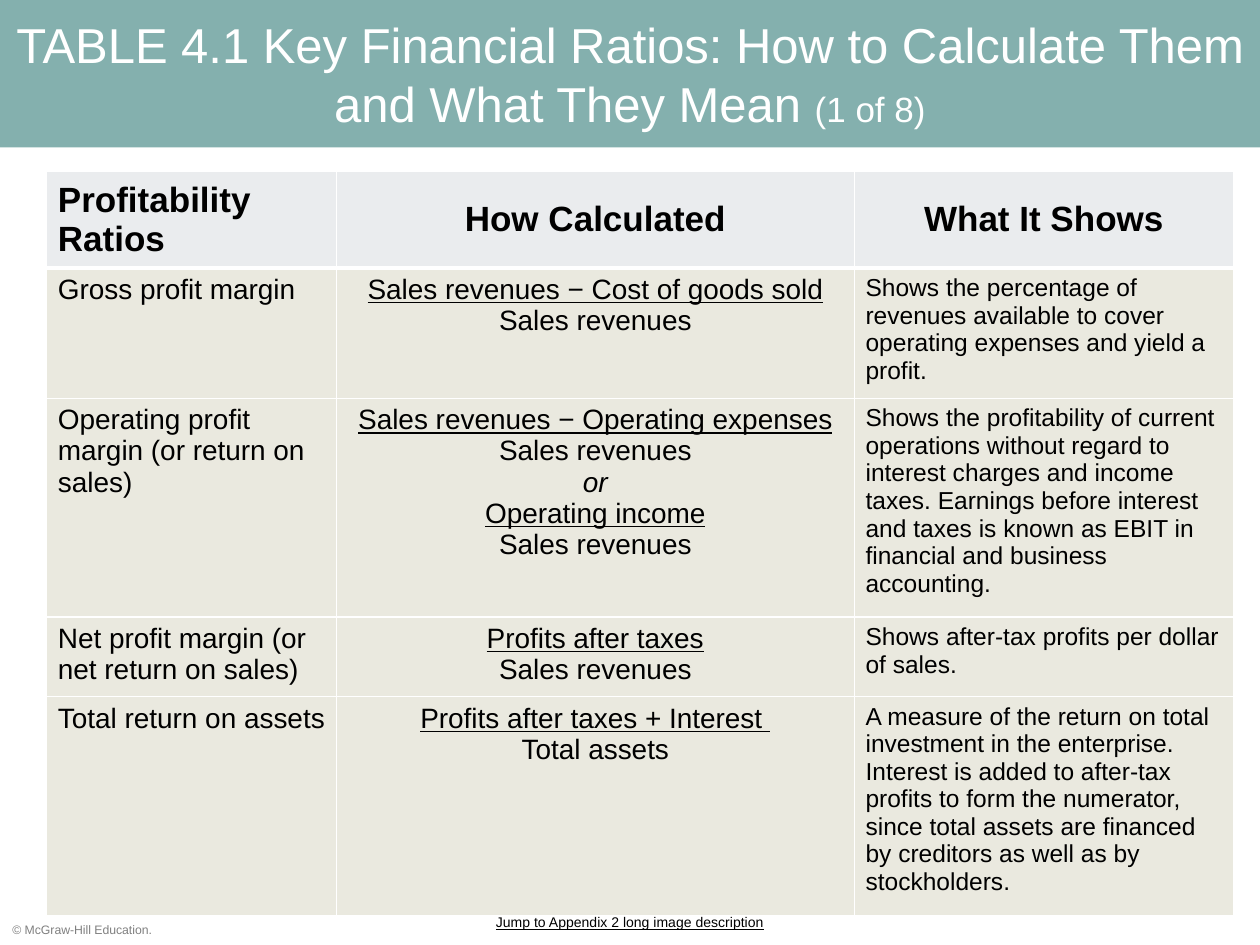
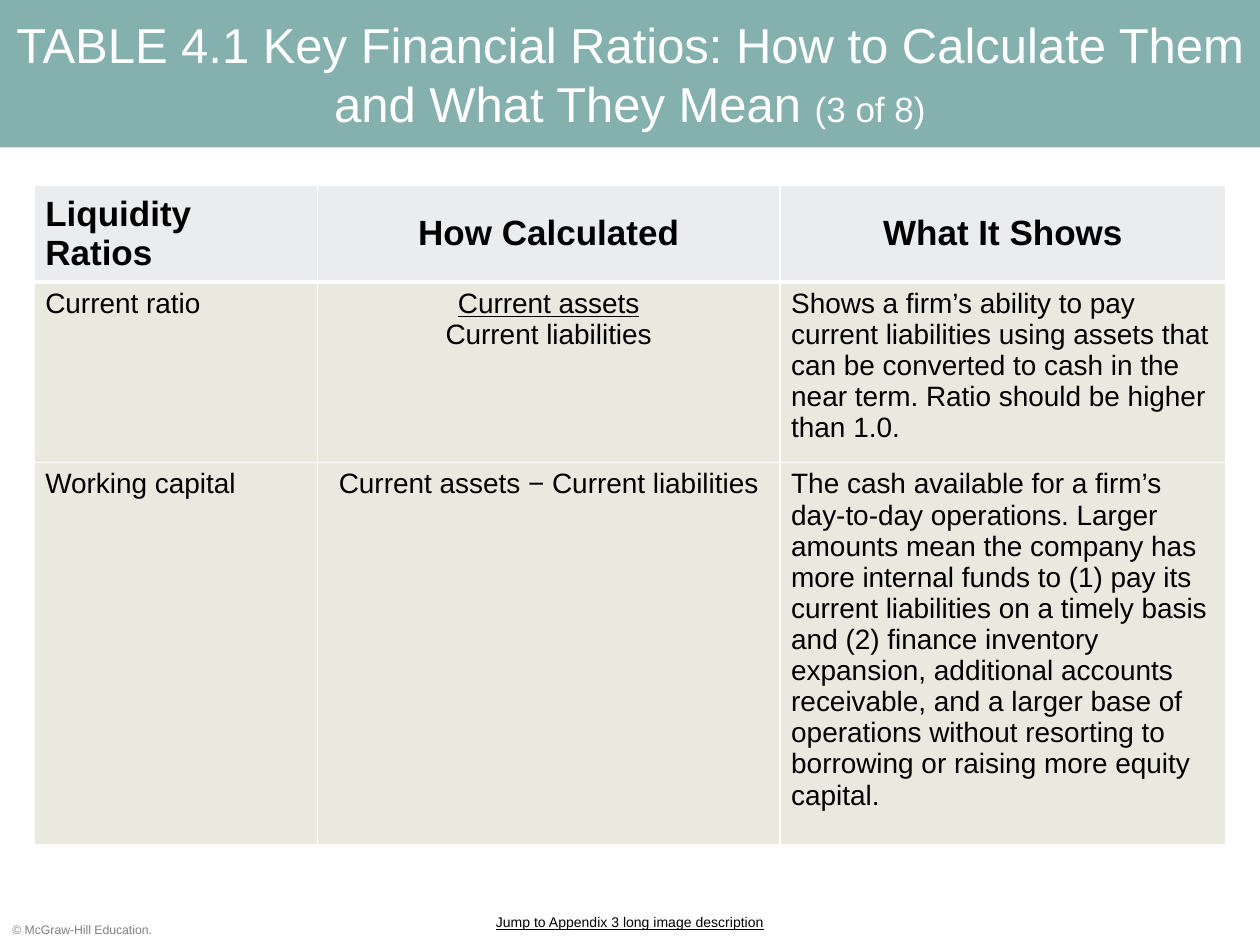
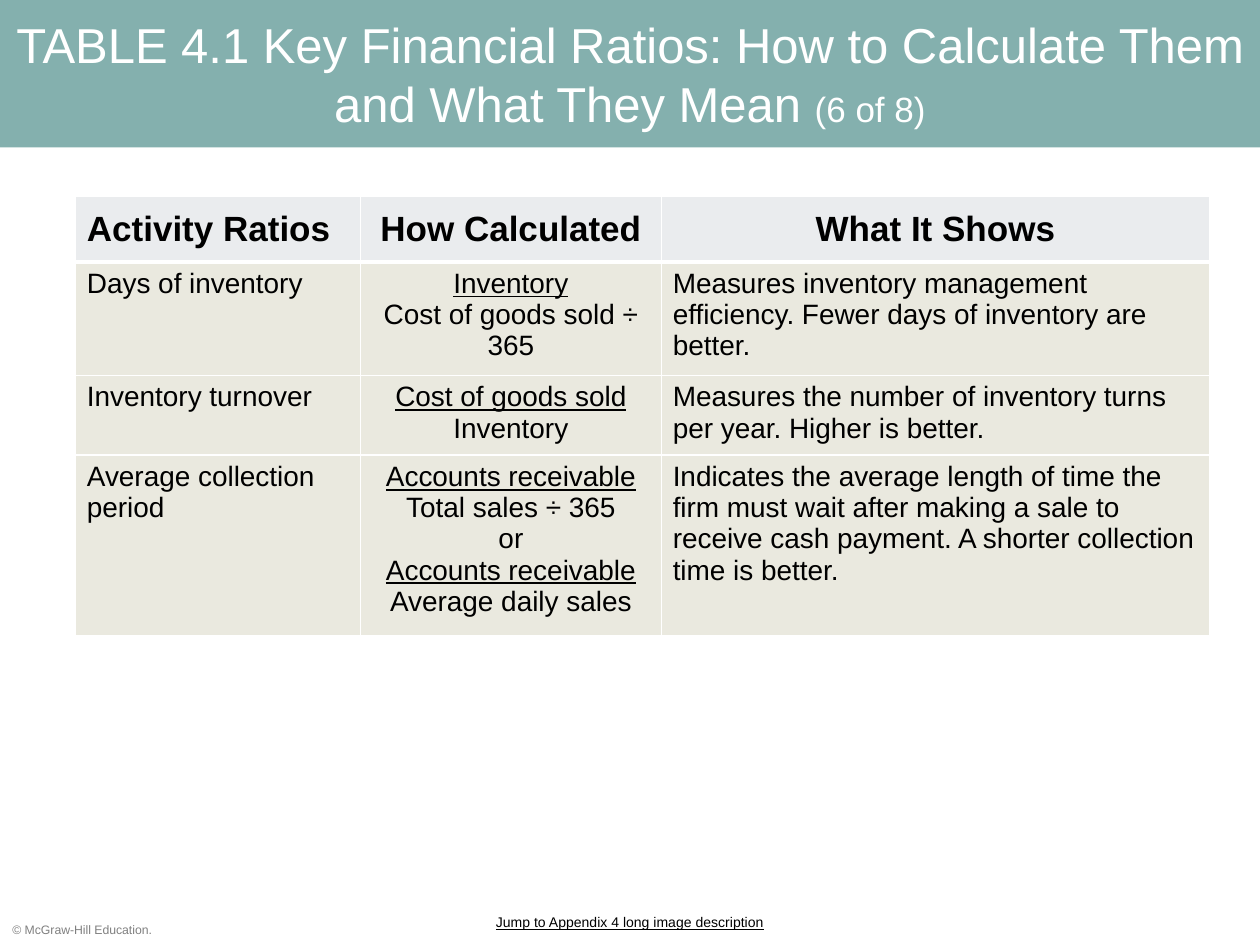
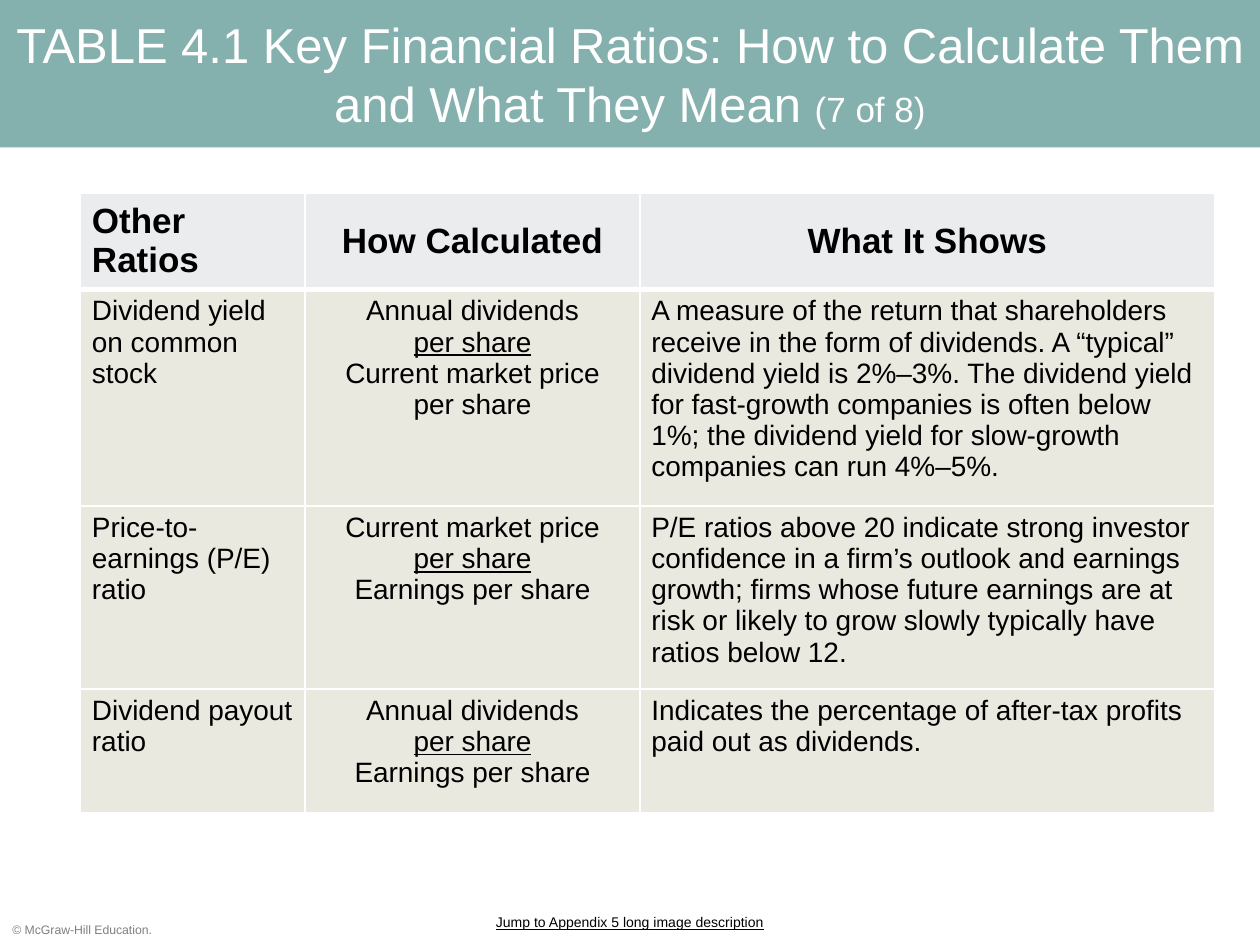
from lxml import etree
from pptx import Presentation
from pptx.dml.color import RGBColor
from pptx.enum.shapes import MSO_SHAPE as SHAPE
from pptx.enum.text import MSO_ANCHOR as ANCHOR, PP_ALIGN as ALIGN
from pptx.oxml.ns import qn
from pptx.util import Inches, Pt

FONT = "Arial"
WHITE, BLACK, GREY = "FFFFFF", "000000", "808080"
TEAL, HEAD_FILL, BODY_FILL = "84B0AE", "EAECEE", "EAE9DF"
TITLE = "TABLE 4.1 Key Financial Ratios: How to Calculate Them and What They Mean "
UNDER, ITALIC = "_", "*"  # leading marks of a formula line


def rgb(hex_color):
    return RGBColor.from_string(hex_color)


def add_run(p, text, size, color=BLACK, bold=False, italic=False, underline=False):
    r = p.add_run()
    r.text = text
    f = r.font
    f.name, f.size, f.color.rgb = FONT, Pt(size), rgb(color)
    f.bold, f.italic, f.underline = bold, italic, underline


def add_label(slide, box, text, size, color, align, underline=False):
    tf = slide.shapes.add_textbox(*map(Inches, box)).text_frame
    tf.word_wrap = True
    p = tf.paragraphs[0]
    p.alignment = align
    add_run(p, text, size, color, underline=underline)


def add_title(slide, box, part):
    sp = slide.shapes.add_shape(SHAPE.RECTANGLE, *map(Inches, box))
    sp.shadow.inherit = False
    sp.fill.solid()
    sp.fill.fore_color.rgb = rgb(TEAL)
    sp.line.fill.background()
    tf = sp.text_frame
    tf.word_wrap = True
    tf.vertical_anchor = ANCHOR.MIDDLE
    p = tf.paragraphs[0]
    p.alignment = ALIGN.CENTER
    add_run(p, TITLE, 28, WHITE)
    add_run(p, f"({part} of 8)", 20, WHITE)


# Table cells
def set_borders(cell, top, bottom):
    tcPr = cell._tc.get_or_add_tcPr()
    widths = {"lnL": 1, "lnR": 1, "lnT": top, "lnB": bottom}
    for i, (tag, width) in enumerate(widths.items()):
        ln = etree.Element(qn(f"a:{tag}"), w=str(Pt(width)))
        fill = etree.SubElement(ln, qn("a:solidFill"))
        etree.SubElement(fill, qn("a:srgbClr"), val=WHITE)
        tcPr.insert(i, ln)


def style_cell(cell, row):
    cell.fill.solid()
    cell.fill.fore_color.rgb = rgb(BODY_FILL if row else HEAD_FILL)
    cell.margin_left = cell.margin_right = Inches(0.09)
    cell.margin_top = cell.margin_bottom = Inches(0.05)
    cell.vertical_anchor = ANCHOR.TOP if row else ANCHOR.MIDDLE
    set_borders(cell, 3 if row == 1 else 1, 1 if row else 3)


def fill_formula(p, lines, size):
    for i, line in enumerate(lines):
        if i:
            p.add_line_break()
        add_run(p, line.lstrip(UNDER + ITALIC), size,
                italic=line.startswith(ITALIC), underline=line.startswith(UNDER))


def add_ratio_table(slide, origin, cols, heights, kind, ratios, note_size):
    rows = [(kind, ["How Calculated"], "What It Shows"), *ratios]
    box = (*origin, sum(cols), sum(heights))
    table = slide.shapes.add_table(len(rows), len(cols), *map(Inches, box)).table
    table.first_row = table.horz_banding = False
    for col, width in zip(table.columns, cols):
        col.width = Inches(width)
    for i, (height, (name, formula, note)) in enumerate(zip(heights, rows)):
        table.rows[i].height = Inches(height)
        cells = [table.cell(i, j) for j in range(len(cols))]
        for cell in cells:
            style_cell(cell, i)
        name_p, formula_p, note_p = [c.text_frame.paragraphs[0] for c in cells]
        formula_p.alignment = ALIGN.CENTER
        if i == 0:
            note_p.alignment = ALIGN.CENTER
            for p, text in ((name_p, name), (formula_p, formula[0]), (note_p, note)):
                add_run(p, text, 20, bold=True)
        else:
            add_run(name_p, name, 16)
            fill_formula(formula_p, formula, 16)
            add_run(note_p, note, note_size)


def add_ratio_slide(prs, part, appendix, origin, cols, heights, kind, ratios,
                    note_size=16):
    slide = prs.slides.add_slide(prs.slide_layouts[6])
    add_label(slide, (0, 7.27, 1.35, 0.22), "© McGraw-Hill Education.",
              7, GREY, ALIGN.LEFT)
    add_title(slide, (0, 0, 10, 1.17), part)
    add_ratio_table(slide, origin, cols, heights, kind, ratios, note_size)
    add_label(slide, (0, 7.2, 10, 0.3),
              f"Jump to Appendix {appendix} long image description",
              8, BLACK, ALIGN.CENTER, underline=True)


# Ratios: name, formula lines, meaning
PROFITABILITY = [
    ("Gross profit margin",
     ["_Sales revenues − Cost of goods sold", "Sales revenues"],
     "Shows the percentage of revenues available to cover operating expenses "
     "and yield a profit."),
    ("Operating profit margin (or return on sales)",
     ["_Sales revenues − Operating expenses", "Sales revenues", "*or",
      "_Operating income", "Sales revenues"],
     "Shows the profitability of current operations without regard to interest "
     "charges and income taxes. Earnings before interest and taxes is known as "
     "EBIT in financial and business accounting."),
    ("Net profit margin (or net return on sales)",
     ["_Profits after taxes", "Sales revenues"],
     "Shows after-tax profits per dollar of sales."),
    ("Total return on assets",
     ["_Profits after taxes + Interest ", "Total assets"],
     "A measure of the return on total investment in the enterprise. Interest "
     "is added to after-tax profits to form the numerator, since total assets "
     "are financed by creditors as well as by stockholders."),
]
LIQUIDITY = [
    ("Current ratio",
     ["_Current assets", "Current liabilities"],
     "Shows a firm’s ability to pay current liabilities using assets that can "
     "be converted to cash in the near term. Ratio should be higher than 1.0."),
    ("Working capital",
     ["Current assets − Current liabilities"],
     "The cash available for a firm’s day-to-day operations. Larger amounts "
     "mean the company has more internal funds to (1) pay its current "
     "liabilities on a timely basis and (2) finance inventory expansion, "
     "additional accounts receivable, and a larger base of operations without "
     "resorting to borrowing or raising more equity capital."),
]
ACTIVITY = [
    ("Days of inventory",
     ["_Inventory", "Cost of goods sold ÷ 365"],
     "Measures inventory management efficiency. Fewer days of inventory are "
     "better."),
    ("Inventory turnover",
     ["_Cost of goods sold", "Inventory"],
     "Measures the number of inventory turns per year. Higher is better."),
    ("Average collection period",
     ["_Accounts receivable", "Total sales ÷ 365", "or",
      "_Accounts receivable", "Average daily sales"],
     "Indicates the average length of time the firm must wait after making a "
     "sale to receive cash payment. A shorter collection time is better."),
]
OTHER = [
    ("Dividend yield on common stock",
     ["Annual dividends", "_per share", "Current market price", "per share"],
     "A measure of the return that shareholders receive in the form of "
     "dividends. A “typical” dividend yield is 2%–3%. The dividend yield for "
     "fast-growth companies is often below 1%; the dividend yield for "
     "slow-growth companies can run 4%–5%."),
    ("Price-to-earnings (P/E) ratio",
     ["Current market price", "_per share", "Earnings per share"],
     "P/E ratios above 20 indicate strong investor confidence in a firm’s "
     "outlook and earnings growth; firms whose future earnings are at risk or "
     "likely to grow slowly typically have ratios below 12."),
    ("Dividend payout ratio",
     ["Annual dividends", "_per share", "Earnings per share"],
     "Indicates the percentage of after-tax profits paid out as dividends."),
]


def main():
    prs = Presentation()
    prs.slide_width, prs.slide_height = Inches(10), Inches(7.5)
    add_ratio_slide(prs, 1, 2, (0.37, 1.36), (2.3, 4.11, 3.01),
                    (0.7, 1.03, 1.73, 0.63, 1.73),
                    "Profitability Ratios", PROFITABILITY, note_size=14)
    add_ratio_slide(prs, 3, 3, (0.27, 1.47), (2.25, 3.67, 3.54),
                    (0.61, 1.43, 3.03), "Liquidity Ratios", LIQUIDITY)
    add_ratio_slide(prs, 6, 4, (0.6, 1.56), (2.26, 2.39, 4.35),
                    (0.52, 0.9, 0.63, 1.43), "Activity Ratios", ACTIVITY)
    add_ratio_slide(prs, 7, 5, (0.64, 1.53), (1.78, 2.66, 4.56),
                    (0.58, 1.72, 1.45, 0.98), "Other Ratios", OTHER)
    prs.save("out.pptx")


if __name__ == "__main__":
    main()
